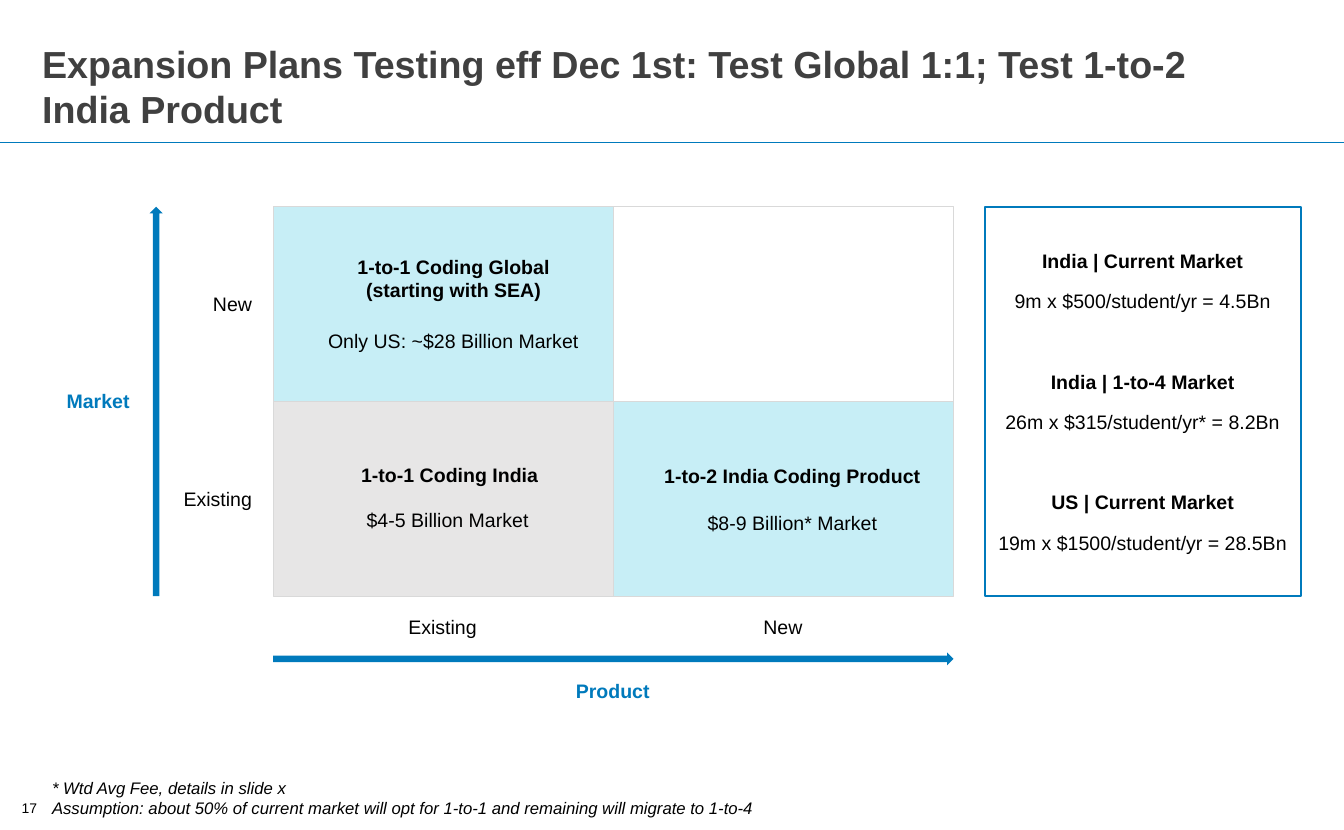
from pptx import Presentation
from pptx import util as u
from pptx.dml.color import RGBColor
from pptx.enum import shapes, text
from lxml import etree
from pptx.oxml import ns

PX = 9144
BLUE = RGBColor(0x00, 0x7A, 0xBC)
CYAN = RGBColor(0xC7, 0xEE, 0xF6)
GREY = RGBColor(0xE7, 0xE6, 0xE6)
RULE = RGBColor(0xD9, 0xD9, 0xD9)
BLACK = RGBColor(0x00, 0x00, 0x00)
TITLE = RGBColor(0x40, 0x40, 0x40)
LEFT, CENTER, RIGHT = text.PP_ALIGN.LEFT, text.PP_ALIGN.CENTER, text.PP_ALIGN.RIGHT

deck = Presentation()
deck.slide_width, deck.slide_height = 1339 * PX, 827 * PX
page = deck.slides.add_slide(deck.slide_layouts[6])


def write(box, lines, align=LEFT, size=14, color=BLACK, italic=False):
    frame = box.text_frame
    frame.word_wrap = True
    for index, (words, bold, before) in enumerate(lines):
        para = frame.paragraphs[0] if index == 0 else frame.add_paragraph()
        para.alignment = align
        if before:
            para.space_before = u.Pt(before)
        span = para.add_run()
        span.text = words
        span.font.name = "Arial"
        span.font.size = u.Pt(size)
        span.font.bold = bold
        span.font.italic = italic
        span.font.color.rgb = color
    return frame


def add_block(kind, left, top, width, height, fill=None, line=None, weight=0.75):
    block = page.shapes.add_shape(kind, left * PX, top * PX, width * PX, height * PX)
    block.shadow.inherit = False
    if fill is None:
        block.fill.background()
    else:
        block.fill.solid()
        block.fill.fore_color.rgb = fill
    if line is None:
        block.line.fill.background()
    else:
        block.line.color.rgb = line
        block.line.width = u.Pt(weight)
    return block


header_rule = page.shapes.add_connector(
    shapes.MSO_CONNECTOR.STRAIGHT, 0, 142 * PX, 1339 * PX, 142 * PX)
header_rule.line.color.rgb = BLUE
header_rule.line.width = u.Pt(0.75)
etree.SubElement(header_rule._element.spPr, ns.qn("a:effectLst"))

title = page.shapes.add_textbox(42 * PX, 40 * PX, 1172 * PX, 91 * PX)
frame = write(title, [("Expansion Plans Testing eff Dec 1st: Test Global 1:1; "
                       "Test 1-to-2 India Product", True, 0)], size=27, color=TITLE)
frame.vertical_anchor = text.MSO_ANCHOR.BOTTOM
frame.margin_left = frame.margin_right = frame.margin_top = frame.margin_bottom = 0

GRID_LEFT, GRID_TOP, CELL_WIDTH, CELL_HEIGHT = 272, 206, 339, 194
for row, fills in enumerate([(CYAN, None), (GREY, CYAN)]):
    for column, fill in enumerate(fills):
        add_block(shapes.MSO_SHAPE.RECTANGLE,
                  GRID_LEFT + column * CELL_WIDTH, GRID_TOP + row * CELL_HEIGHT,
                  CELL_WIDTH, CELL_HEIGHT, fill, RULE)

add_block(shapes.MSO_SHAPE.UP_ARROW, 149, GRID_TOP, 13, 2 * CELL_HEIGHT, BLUE)
add_block(shapes.MSO_SHAPE.RIGHT_ARROW, GRID_LEFT, 650, 2 * CELL_WIDTH, 13, BLUE)

labels = [
    (42, 383, 97, 34, RIGHT, BLUE, [("Market", True, 0)]),
    (554, 672, 113, 34, CENTER, BLUE, [("Product", True, 0)]),
    (171, 286, 90, 34, RIGHT, BLACK, [("New", False, 0)]),
    (171, 480, 90, 34, RIGHT, BLACK, [("Existing", False, 0)]),
    (396, 608, 90, 34, CENTER, BLACK, [("Existing", False, 0)]),
    (735, 608, 90, 34, CENTER, BLACK, [("New", False, 0)]),
    (317, 249, 270, 57, CENTER, BLACK,
     [("1-to-1 Coding Global (starting with SEA)", True, 0)]),
    (317, 323, 270, 34, LEFT, BLACK, [("Only US: ~$28 Billion Market", False, 0)]),
    (350, 456, 244, 34, LEFT, BLACK, [("1-to-1 Coding India", True, 0)]),
    (335, 501, 222, 34, CENTER, BLACK, [("$4-5 Billion Market", False, 0)]),
    (639, 457, 301, 81, CENTER, BLACK,
     [("1-to-2 India Coding Product", True, 0), ("$8-9 Billion* Market", False, 17)]),
]
for left, top, width, height, align, color, lines in labels:
    label = page.shapes.add_textbox(left * PX, top * PX, width * PX, height * PX)
    write(label, lines, align, color=color)

markets = [
    ("India | Current Market", "9m x $500/student/yr = 4.5Bn"),
    ("India | 1-to-4 Market", "26m x $315/student/yr* = 8.2Bn"),
    ("US | Current Market", "19m x $1500/student/yr = 28.5Bn"),
]
market_lines = []
for index, (heading, value) in enumerate(markets):
    market_lines += [(heading, True, 41 if index else 0), (value, False, 12)]
panel = add_block(shapes.MSO_SHAPE.RECTANGLE, 981, GRID_TOP, 315, 2 * CELL_HEIGHT,
                  line=BLUE, weight=1.5)
write(panel, market_lines, CENTER).vertical_anchor = text.MSO_ANCHOR.MIDDLE

footnote = page.shapes.add_textbox(42 * PX, 770 * PX, 1276 * PX, 50 * PX)
write(footnote, [
    ("* Wtd Avg Fee, details in slide x", False, 0),
    ("Assumption: about 50% of current market will opt for 1-to-1 "
     "and remaining will migrate to 1-to-4", False, 0),
], size=12, italic=True)

page_number = page.shapes.add_textbox(14 * PX, 798 * PX, 26 * PX, 15 * PX)
frame = write(page_number, [("17", False, 0)], RIGHT, size=10)
frame.vertical_anchor = text.MSO_ANCHOR.BOTTOM
frame.margin_left = frame.margin_top = frame.margin_bottom = 0
frame.margin_right = 3 * PX

deck.save("out.pptx")
